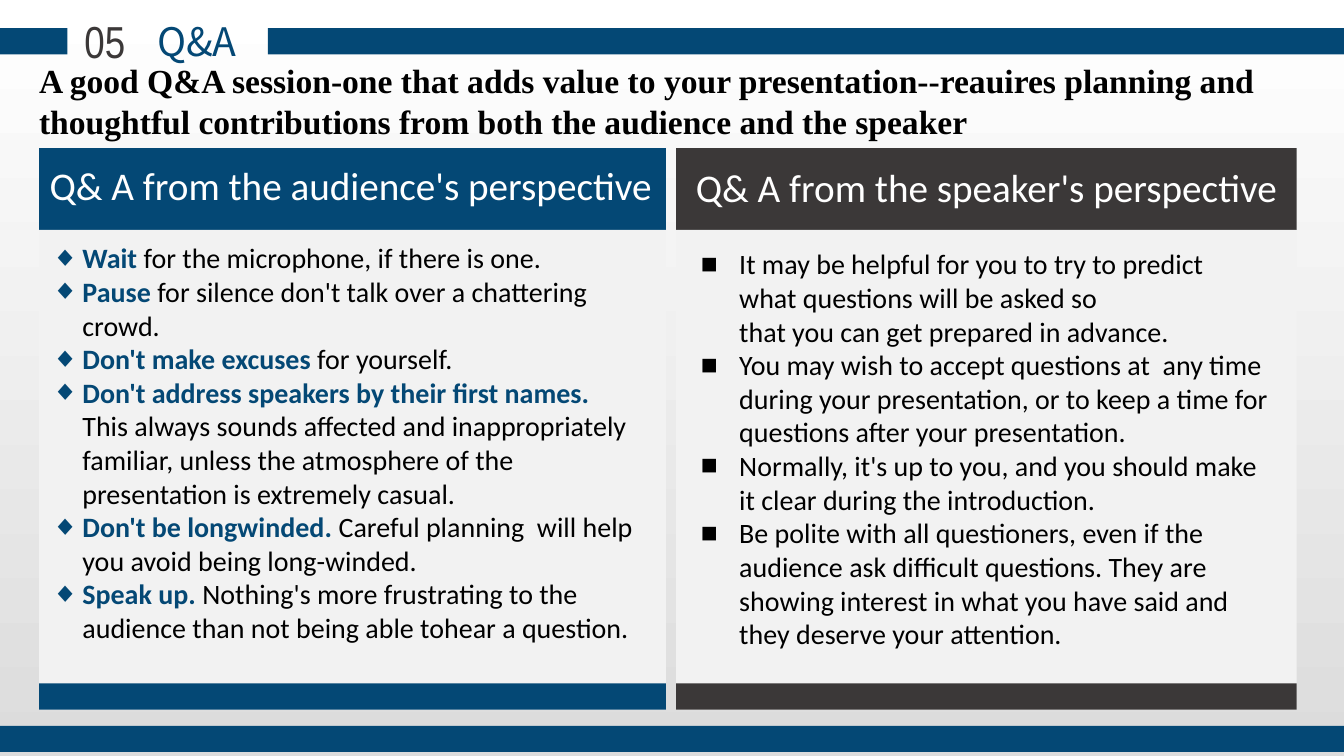
import dataclasses

import pptx
import pptx.dml.color
import pptx.enum.shapes
import pptx.enum.text
import pptx.oxml
import pptx.oxml.ns
import pptx.util

WIDTH, HEIGHT = pptx.util.Inches(13.34), pptx.util.Inches(7.5)
BLUE, CHARCOAL, PALE, WHITE, BLACK = "044875", "3B3838", "F2F2F2", "FFFFFF", "000000"
BAR_HEIGHT = 3.47
NO_BREAK_SPACE = chr(160)
ALIGN = pptx.enum.text.PP_ALIGN


@dataclasses.dataclass(frozen=True)
class Area:
    """Percentages of the slide's width and height."""
    left: float
    top: float
    width: float
    height: float

    def emu(self) -> tuple[int, int, int, int]:
        return (int(WIDTH * self.left / 100), int(HEIGHT * self.top / 100),
                int(WIDTH * self.width / 100), int(HEIGHT * self.height / 100))


@dataclasses.dataclass(frozen=True)
class Style:
    size: int
    color: str
    font: str = "Calibri"
    bold: bool = False
    align: ALIGN = ALIGN.CENTER


@dataclasses.dataclass(frozen=True)
class Point:
    rest: str
    lead: str = ""


@dataclasses.dataclass(frozen=True)
class Perspective:
    heading: str
    color: str
    left: float
    width: float
    heading_area: Area
    points_area: Area
    bullet: str
    bullet_color: str
    indent: float
    points: tuple[Point, ...]


PERSPECTIVES = (
    Perspective(
        "Q& A from the audience's perspective", BLUE, 2.92, 46.63,
        Area(0, 20.67, 52.17, 7.6), Area(3.07, 31.2, 46.55, 54.67), "◆", BLUE, 0.31,
        (
            Point(" for the microphone, if there is one.", "Wait"),
            Point(" for silence don't talk over a chattering crowd.", "Pause"),
            Point(" for yourself.", "Don't make excuses"),
            Point("This~always~sounds~affected and inappropriately familiar, unless the "
                  "atmosphere of the presentation~is extremely casual.",
                  "Don't address speakers by their first names. "),
            Point("Careful planning  will help you avoid being long-winded.",
                  "Don't be longwinded. "),
            Point("Nothing's more frustrating to the audience than not being able "
                  "tohear a question.", "Speak up. "),
        )),
    Perspective(
        "Q& A from the speaker's perspective", CHARCOAL, 50.3, 46.18,
        Area(46.33, 20.93, 54.12, 7.6), Area(51.42, 32, 44.38, 58), "■", BLACK, 0.38,
        (
            Point("It may be helpful for you to try to predict what~questions~will~be~asked~so "
                  "that~you~can~get prepared in advance."),
            Point("You may wish to accept questions at  any time during your presentation, "
                  "or to keep a time for questions after your presentation."),
            Point("Normally, it's up to you, and you should make it~clear during "
                  "the introduction."),
            Point("Be polite with all questioners, even if the audience ask difficult "
                  "questions. They are showing interest in what you have said and they "
                  "deserve~your~attention."),
        )),
)


def rgb(value: str) -> pptx.dml.color.RGBColor:
    return pptx.dml.color.RGBColor.from_string(value)


def add_panel(slide, area: Area, color: str) -> None:
    panel = slide.shapes.add_shape(pptx.enum.shapes.MSO_SHAPE.RECTANGLE, *area.emu())
    panel.shadow.inherit = False
    panel.fill.solid()
    panel.fill.fore_color.rgb = rgb(color)
    panel.line.fill.background()


def apply_style(paragraph, style: Style) -> None:
    paragraph.alignment = style.align
    paragraph.font.size = pptx.util.Pt(style.size)
    paragraph.font.name = style.font
    paragraph.font.bold = style.bold
    paragraph.font.color.rgb = rgb(style.color)


def prepare_frame(holder):
    frame = holder.text_frame
    frame.word_wrap = True
    frame.auto_size = pptx.enum.text.MSO_AUTO_SIZE.NONE
    frame.vertical_anchor = pptx.enum.text.MSO_ANCHOR.TOP
    return frame


def add_label(slide, area: Area, wording: str, style: Style) -> None:
    frame = prepare_frame(slide.shapes.add_textbox(*area.emu()))
    frame.text = wording
    apply_style(frame.paragraphs[0], style)


def add_bullet(paragraph, mark: str, color: str, indent: float) -> None:
    properties = paragraph._p.get_or_add_pPr()
    offset = pptx.util.Inches(indent)
    properties.set("marL", str(offset))
    properties.set("indent", str(-offset))
    namespace = pptx.oxml.ns.nsdecls("a")
    for markup in (
        f'<a:buClr {namespace}><a:srgbClr val="{color}"/></a:buClr>',
        f'<a:buFont {namespace} typeface="Arial"/>',
        f'<a:buChar {namespace} char="{mark}"/>',
    ):
        properties.append(pptx.oxml.parse_xml(markup))


def add_points(slide, perspective: Perspective) -> None:
    frame = prepare_frame(slide.shapes.add_textbox(*perspective.points_area.emu()))
    for index, point in enumerate(perspective.points):
        paragraph = frame.add_paragraph() if index else frame.paragraphs[0]
        add_bullet(paragraph, perspective.bullet, perspective.bullet_color, perspective.indent)
        apply_style(paragraph, Style(20, BLACK, align=ALIGN.LEFT))
        if point.lead:
            lead = paragraph.add_run()
            lead.text = point.lead
            lead.font.bold = True
            lead.font.color.rgb = rgb(BLUE)
        paragraph.add_run().text = point.rest.replace("~", NO_BREAK_SPACE)


def add_perspective(slide, perspective: Perspective) -> None:
    for top, height, color in (
        (19.6, 10.8, perspective.color),
        (30.4, 63.47, PALE),
        (90.4, BAR_HEIGHT, perspective.color),
    ):
        add_panel(slide, Area(perspective.left, top, perspective.width, height), color)
    add_label(slide, perspective.heading_area, perspective.heading, Style(28, WHITE))
    add_points(slide, perspective)


def set_background(slide) -> None:
    fill = slide.background.fill
    fill.gradient()
    fill.gradient_angle = 270
    for stop, color in zip(fill.gradient_stops, (WHITE, "DCDCDC")):
        stop.color.rgb = rgb(color)


def set_title(slide, area: Area, wording: str, style: Style) -> None:
    title = slide.shapes.title
    title.left, title.top, title.width, title.height = area.emu()
    frame = prepare_frame(title)
    frame.text = wording
    apply_style(frame.paragraphs[0], style)


def main() -> None:
    deck = pptx.Presentation()
    deck.slide_width, deck.slide_height = WIDTH, HEIGHT
    slide = deck.slides.add_slide(deck.slide_layouts.get_by_name("Title Only"))
    set_background(slide)
    set_title(slide, Area(-0.37, 1.6, 30.06, 7.6), "Q&A", Style(28, BLUE, "Noto Sans CJK SC"))
    for left, top, width in ((0, 96, 100), (0, 3.73, 5.02), (19.94, 3.73, 80.06)):
        add_panel(slide, Area(left, top, width, BAR_HEIGHT), BLUE)
    add_label(slide, Area(4.5, 1.2, 6.6, 8.53), "05", Style(32, CHARCOAL, "Arial Narrow"))
    for perspective in PERSPECTIVES:
        add_perspective(slide, perspective)
    add_label(slide, Area(2.17, 7.33, 96.33, 12),
              "A good Q&A session-one that adds value to your presentation--reauires planning "
              "and thoughtful contributions from both the audience and the speaker",
              Style(24, BLACK, "Times New Roman", True, ALIGN.LEFT))
    deck.save("out.pptx")


if __name__ == "__main__":
    main()
